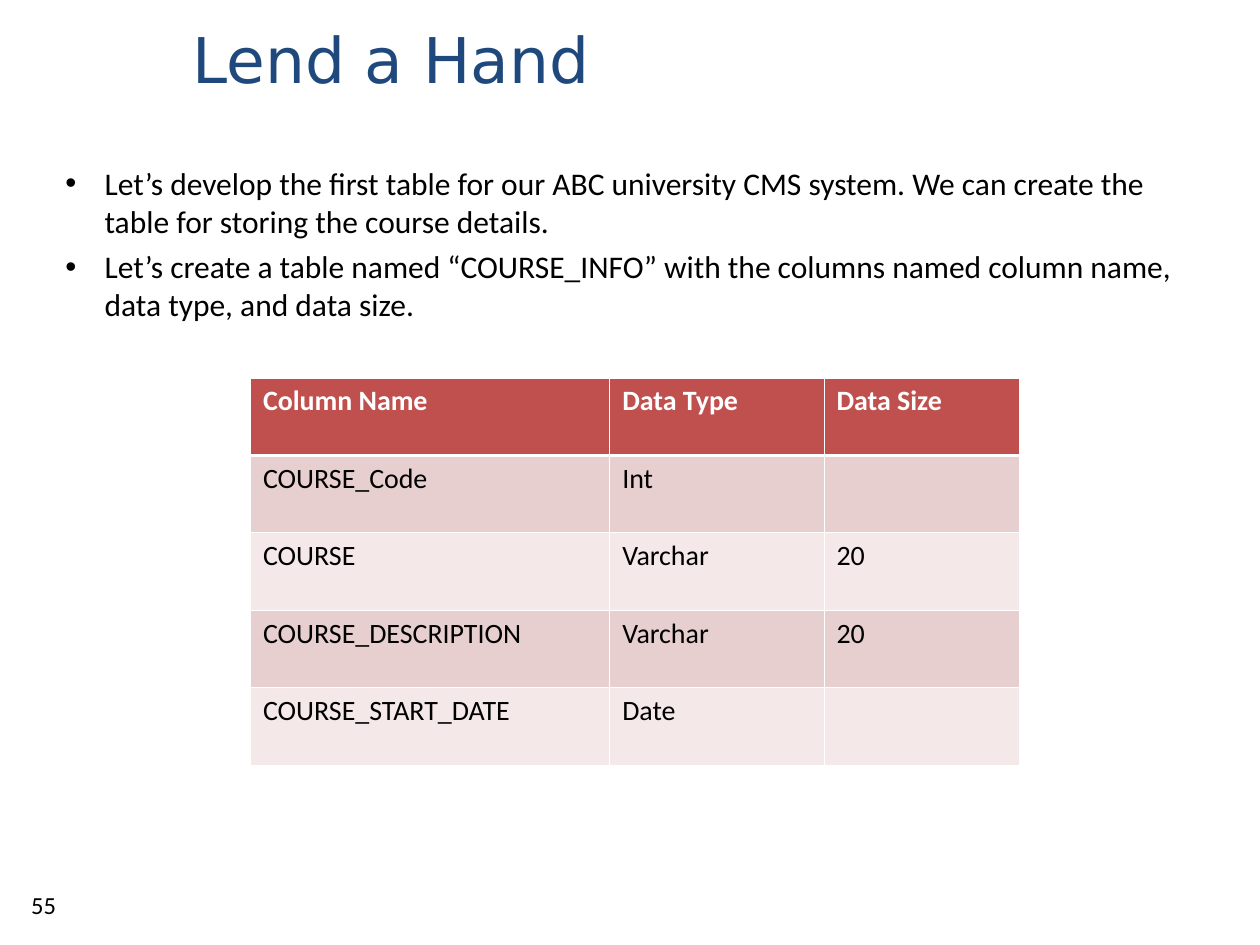
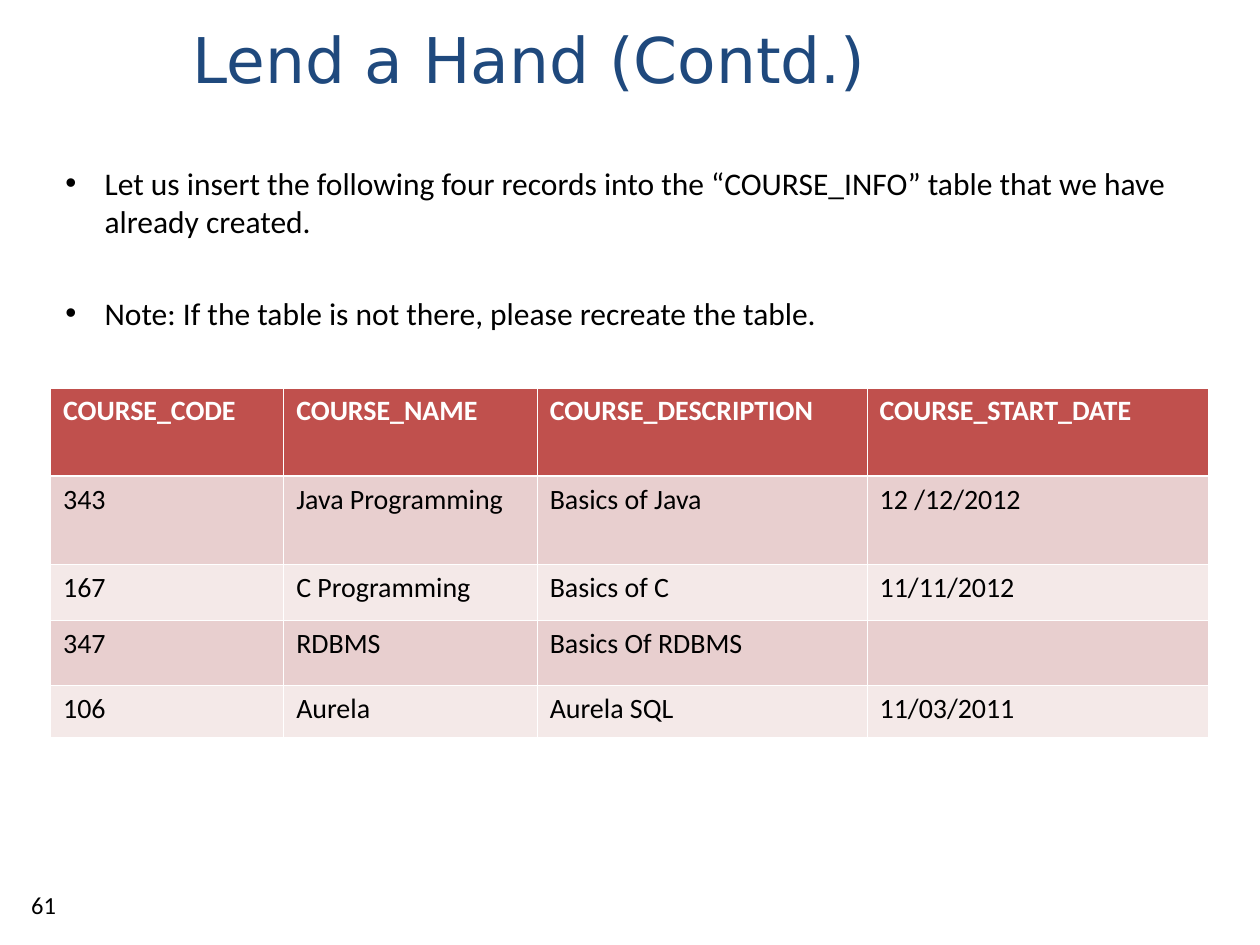
from dataclasses import dataclass

from lxml.etree import SubElement as Sub
from pptx import Presentation
from pptx.dml.color import RGBColor as RGB
from pptx.enum.text import MSO_ANCHOR as Anchor
from pptx.oxml.ns import qn
from pptx.util import Cm, Pt

NAVY, RED, BLACK, WHITE = "1F497D", "C0504D", "000000", "FFFFFF"
BANDS = ("E8CFCF", "F4E9E8")
HEAD_FONT, BODY_FONT = "DejaVu Sans", "Calibri"
THIN, THICK = 0.45, 1.47

# Left, top, width and height in centimetres
TITLE_BOX = (3.63, 0, 21.77, 2.34)
BODY_BOX = (1.07, 3.18, 23.29, 13.74)
PAGE_BOX = (0.38, 17.81, 1.27, 0.79)
INDENT = 0.79


@dataclass
class Grid:
    left: float
    top: float
    cols: list[float]
    rows: list[float]
    cells: list[list[str]]


@dataclass
class Page:
    title: str
    points: list[str]
    gap: float
    grid: Grid
    number: str


PAGES = [
    Page(
        "Lend a Hand",
        ["Let’s develop the first table for our ABC university CMS system. "
         "We can create the table for storing the course details.",
         "Let’s create a table named “COURSE_INFO” with the columns named "
         "column name, data type, and data size."],
        4.5,
        Grid(5.05, 7.62, [7.24, 4.32, 3.94], [1.56] * 5, [
            ["Column Name", "Data Type", "Data Size"],
            ["COURSE_Code", "Int", ""],
            ["COURSE", "Varchar", "20"],
            ["COURSE_DESCRIPTION", "Varchar", "20"],
            ["COURSE_START_DATE", "Date", ""],
        ]),
        "55",
    ),
    Page(
        "Lend a Hand (Contd.)",
        ["Let us insert the following four records into the “COURSE_INFO” "
         "table that we have already created.",
         "Note: If the table is not there, please recreate the table."],
        31,
        Grid(1.02, 7.82, [4.7, 5.11, 6.65, 6.88],
             [1.78, 1.78, 1.12, 1.32, 1.04], [
            ["COURSE_CODE", "COURSE_NAME", "COURSE_DESCRIPTION",
             "COURSE_START_DATE"],
            ["343", "Java Programming", "Basics of Java", "12 /12/2012"],
            ["167", "C Programming", "Basics of C", "11/11/2012"],
            ["347", "RDBMS", "Basics Of RDBMS", ""],
            ["106", "Aurela", "Aurela SQL", "11/03/2011"],
        ]),
        "61",
    ),
]


def color(code: str) -> RGB:
    return RGB.from_string(code)


def style(para, size: float, code: str, face: str = BODY_FONT,
          bold: bool = False) -> None:
    for run in para.runs:
        font = run.font
        font.size, font.name, font.bold = Pt(size), face, bold
        font.color.rgb = color(code)


def add_box(slide, box: tuple, text: str):
    """Add a wrapping text box and return its text frame."""
    frame = slide.shapes.add_textbox(*map(Cm, box)).text_frame
    frame.word_wrap = True
    frame.text = text
    return frame


def add_bullet(para) -> None:
    props = para._p.get_or_add_pPr()
    props.set("marL", str(Cm(INDENT)))
    props.set("indent", str(-Cm(INDENT)))
    Sub(Sub(props, qn("a:buClr")), qn("a:srgbClr"), val=BLACK)
    Sub(props, qn("a:buFont"), typeface="Arial")
    Sub(props, qn("a:buChar"), char="•")


def add_edges(cell, top: float, bottom: float) -> None:
    """Draw white cell borders; must run before the cell is filled."""
    props = cell._tc.get_or_add_tcPr()
    for side, width in zip("LRTB", (THIN, THIN, top, bottom)):
        line = Sub(props, qn(f"a:ln{side}"), w=str(Pt(width)))
        Sub(Sub(line, qn("a:solidFill")), qn("a:srgbClr"), val=WHITE)


def add_grid(slide, grid: Grid) -> None:
    size = (sum(grid.cols), sum(grid.rows))
    table = slide.shapes.add_table(
        len(grid.rows), len(grid.cols),
        *map(Cm, (grid.left, grid.top, *size))).table
    for col, width in zip(table.columns, grid.cols):
        col.width = Cm(width)
    for row, height in zip(table.rows, grid.rows):
        row.height = Cm(height)
    for i, texts in enumerate(grid.cells):
        head = i == 0
        for j, text in enumerate(texts):
            cell = table.cell(i, j)
            add_edges(cell, THICK if i == 1 else THIN,
                      THICK if head else THIN)
            cell.fill.solid()
            cell.fill.fore_color.rgb = color(
                RED if head else BANDS[(i - 1) % 2])
            cell.text_frame.text = text
            style(cell.text_frame.paragraphs[0], 16,
                  WHITE if head else BLACK, bold=head)


def add_page(deck, page: Page) -> None:
    slide = deck.slides.add_slide(deck.slide_layouts[6])
    body = add_box(slide, BODY_BOX, "\n".join(page.points))
    for i, para in enumerate(body.paragraphs):
        if i:
            para.space_before = Pt(page.gap)
        add_bullet(para)
        style(para, 18, BLACK)
    title = add_box(slide, TITLE_BOX, page.title)
    title.vertical_anchor = Anchor.MIDDLE
    style(title.paragraphs[0], 36, NAVY, HEAD_FONT)
    add_grid(slide, page.grid)
    number = add_box(slide, PAGE_BOX, page.number)
    style(number.paragraphs[0], 14, BLACK)


def main() -> None:
    deck = Presentation()
    deck.slide_width, deck.slide_height = Cm(25.4), Cm(19.05)
    for page in PAGES:
        add_page(deck, page)
    deck.save("out.pptx")


if __name__ == "__main__":
    main()
